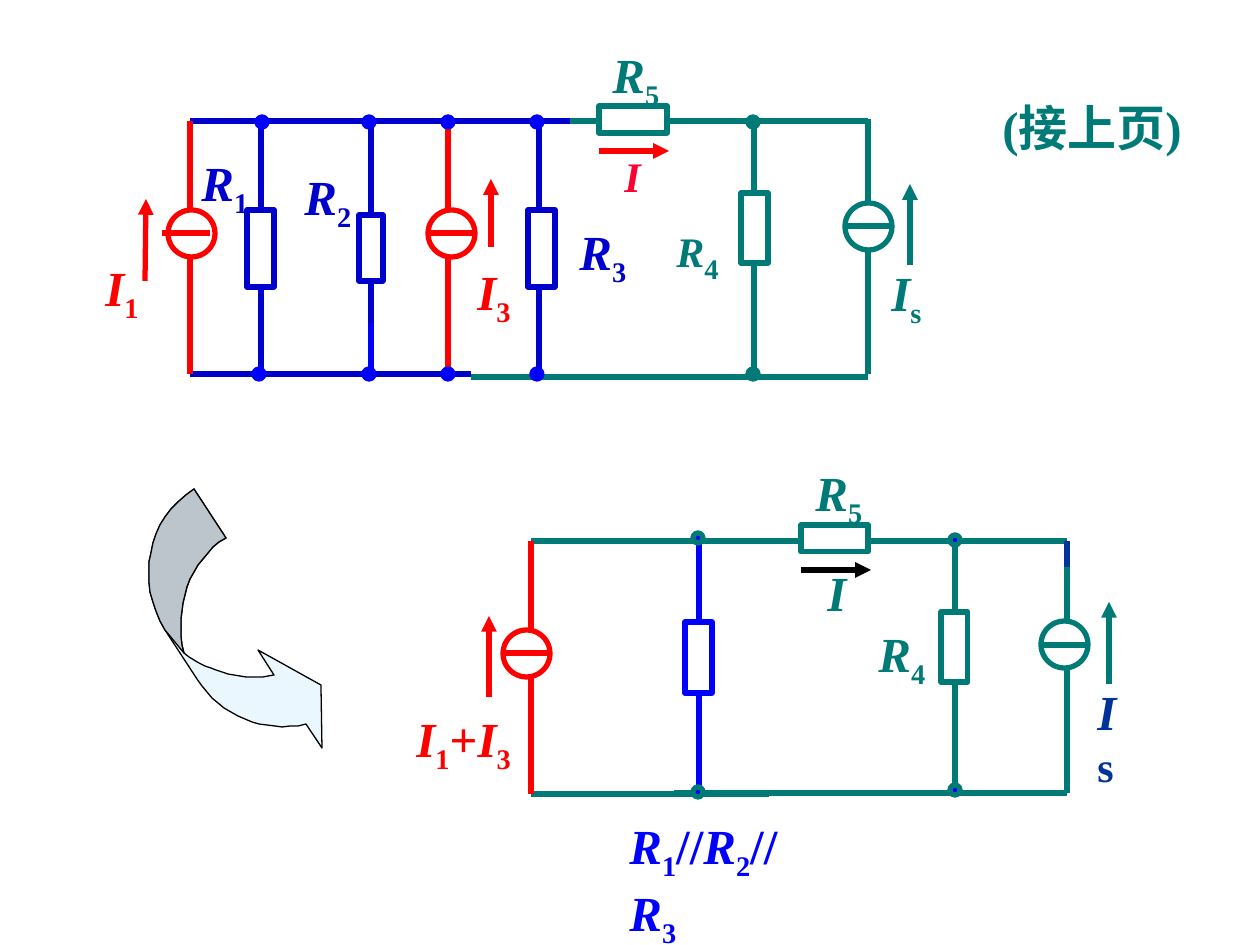
from lxml.etree import SubElement
from pptx import Presentation
from pptx.dml.color import RGBColor
from pptx.enum.shapes import MSO_CONNECTOR as Connector, MSO_SHAPE as Shape
from pptx.enum.text import MSO_AUTO_SIZE as AutoSize
from pptx.oxml.ns import qn
from pptx.util import Emu, Pt

PX = 914400 / 126
GREEN, NAVY, BLUE, RED = "007A77", "0000CC", "0000FF", "FF0000"
DARK, WHITE, BLACK = "003399", "FFFFFF", "000000"
colour = RGBColor.from_string


def emu(*lengths):
    return [Emu(round(length * PX)) for length in lengths]


def paint(shape, fill, line, width=3):
    shape.shadow.inherit = False
    shape.fill.solid()
    shape.fill.fore_color.rgb = colour(fill)
    shape.line.color.rgb = colour(line)
    shape.line.width = Pt(width)


deck = Presentation()
deck.slide_width, deck.slide_height = emu(1260, 945)
page = deck.slides.add_slide(deck.slide_layouts[6])
shapes = page.shapes

arrow_back = [[(184, 653)], [(173, 608), (190, 560), (226, 538)]]
arrow_start = [[(194, 489)], [(147, 519), (135, 582), (165, 630)]]
arrow_head = [
    [(197, 679)], [(221, 716), (264, 734), (306, 724)],
    [(322, 748)], [(321, 685)], [(258, 650)], [(274, 675)],
    [(245, 681), (210, 673), (184, 653)],
]
arrow_parts = [
    ("EBF7FF", arrow_start + arrow_head + arrow_back[1:]),
    ("BCC5CC", arrow_start + arrow_back),
]
for fill, steps in arrow_parts:
    points = []
    for step in steps:
        if len(step) == 1:
            points += step
            continue
        curve = [points[-1]] + step
        for i in range(1, 17):
            t = i / 16
            weights = [(1 - t) ** 3, 3 * t * (1 - t) ** 2, 3 * t * t * (1 - t), t ** 3]
            points.append(tuple(
                sum(weight * point[axis] for weight, point in zip(weights, curve))
                for axis in (0, 1)
            ))
    builder = shapes.build_freeform(*points[0], scale=PX)
    builder.add_line_segments(points[1:], close=True)
    paint(builder.convert_to_shape(), fill, BLACK, 0.75)

wires = [
    (556, 121, 868, 121, GREEN), (471, 377, 868, 377, GREEN),
    (190, 121, 570, 121, NAVY), (190, 374, 471, 374, NAVY),
    (190, 121, 190, 374, RED), (448, 121, 448, 374, RED),
    (261, 121, 261, 374, NAVY), (371, 121, 371, 328, NAVY),
    (371, 323, 371, 374, BLUE), (539, 121, 539, 374, NAVY),
    (754, 121, 754, 374, GREEN), (868, 119, 868, 374, GREEN),
    (531, 541, 1067, 541, GREEN), (531, 794, 769, 794, GREEN),
    (674, 793, 1067, 793, GREEN), (531, 541, 531, 794, RED),
    (699, 541, 699, 794, BLUE), (955, 541, 955, 793, GREEN),
    (1067, 567, 1067, 793, GREEN), (1067, 541, 1067, 567, DARK),
]
bars = [
    (162, 233, 210, 233, RED), (428, 233, 476, 233, RED),
    (846, 226, 894, 226, GREEN), (503, 653, 551, 653, RED),
    (1041, 645, 1089, 645, GREEN),
]
arrows = [
    (145, 281, 146, 199, RED), (491, 247, 491, 179, RED),
    (910, 265, 910, 184, GREEN), (599, 151, 669, 151, RED),
    (489, 697, 489, 616, RED), (1109, 684, 1109, 602, GREEN),
    (801, 570, 871, 570, BLACK),
]
resistors = [
    (599, 106, 68, 27, GREEN), (247, 210, 27, 77, NAVY),
    (359, 215, 24, 66, NAVY), (528, 210, 27, 77, NAVY),
    (741, 193, 27, 70, GREEN), (801, 525, 67, 27, GREEN),
    (685, 622, 27, 71, BLUE), (941, 612, 27, 70, GREEN),
]
sources = [
    (168, 210, RED), (428, 210, RED), (845, 203, GREEN),
    (503, 630, RED), (1041, 621, GREEN),
]
nodes = [
    (x, y, BLUE, BLUE)
    for y, columns in ((122, (262, 369, 448, 537)), (374, (259, 369, 448, 537)))
    for x in columns
]
nodes += [(753, y, GREEN, GREEN) for y in (122, 374)]
nodes += [(x, y, BLUE, GREEN) for x, y in ((698, 538), (698, 792), (955, 540), (955, 790))]

for group in ("wires", "symbols", "bars", "arrows"):
    if group == "symbols":
        for *place, line in resistors:
            paint(shapes.add_shape(Shape.RECTANGLE, *emu(*place)), WHITE, line)
        for x, y, line in sources:
            paint(shapes.add_shape(Shape.OVAL, *emu(x, y, 47, 47)), WHITE, line)
        continue
    for *ends, line in {"wires": wires, "bars": bars, "arrows": arrows}[group]:
        wire = shapes.add_connector(Connector.STRAIGHT, *emu(*ends))
        wire.line.color.rgb = colour(line)
        wire.line.width = Pt(3)
        if group == "arrows":
            SubElement(wire.line._get_or_add_ln(), qn("a:tailEnd"), type="triangle")
        SubElement(wire._element.spPr, qn("a:effectLst"))

for x, y, fill, line in nodes:
    paint(shapes.add_shape(Shape.OVAL, *emu(x - 5, y - 5, 10, 10)), fill, line)

labels = [
    (990, 91, 228, 72, GREEN, 28, 28, "(接上页)"),
    (600, 38, 72, 79, GREEN, 28, 28, "R _5"),
    (189, 146, 72, 79, NAVY, 28, 28, "R _1"),
    (292, 160, 72, 79, NAVY, 28, 28, "R _2"),
    (567, 215, 72, 79, NAVY, 28, 28, "R _3"),
    (664, 212, 67, 79, GREEN, 24, 28, "R _4"),
    (879, 256, 89, 79, GREEN, 28, 28, "I _s"),
    (93, 251, 58, 79, RED, 28, 28, "I _1"),
    (465, 255, 58, 79, RED, 28, 28, "I _3"),
    (612, 144, 42, 63, "FF0033", 24, 24, "I"),
    (803, 456, 72, 79, GREEN, 28, 28, "R _5"),
    (866, 617, 72, 79, GREEN, 28, 28, "R _4"),
    (815, 556, 44, 72, GREEN, 28, 28, "I"),
    (1085, 675, 60, 72, DARK, 28, 24, "I s"),
    (404, 702, 120, 79, RED, 28, 28, "I _1 + I _3"),
    (617, 809, 219, 79, BLUE, 28, 28, "R _1 // R _2 // R _3"),
]
for *place, ink, first_size, next_size, symbols in labels:
    box = shapes.add_textbox(*emu(*place))
    frame = box.text_frame
    frame.word_wrap = symbols == "I _s"
    frame.auto_size = AutoSize.SHAPE_TO_FIT_TEXT
    para = frame.paragraphs[0]
    for index, symbol in enumerate(symbols.split()):
        span = para.add_run()
        span.text = symbol.lstrip("_")
        style = {
            "name": "Times New Roman",
            "size": Pt(next_size if index else first_size),
            "bold": True,
            "italic": symbol in ("R", "I"),
        }
        for key, value in style.items():
            setattr(span.font, key, value)
        span.font.color.rgb = colour(ink)
        if symbol.startswith("_"):
            span._r.get_or_add_rPr().set("baseline", "-25000")

deck.save("out.pptx")
